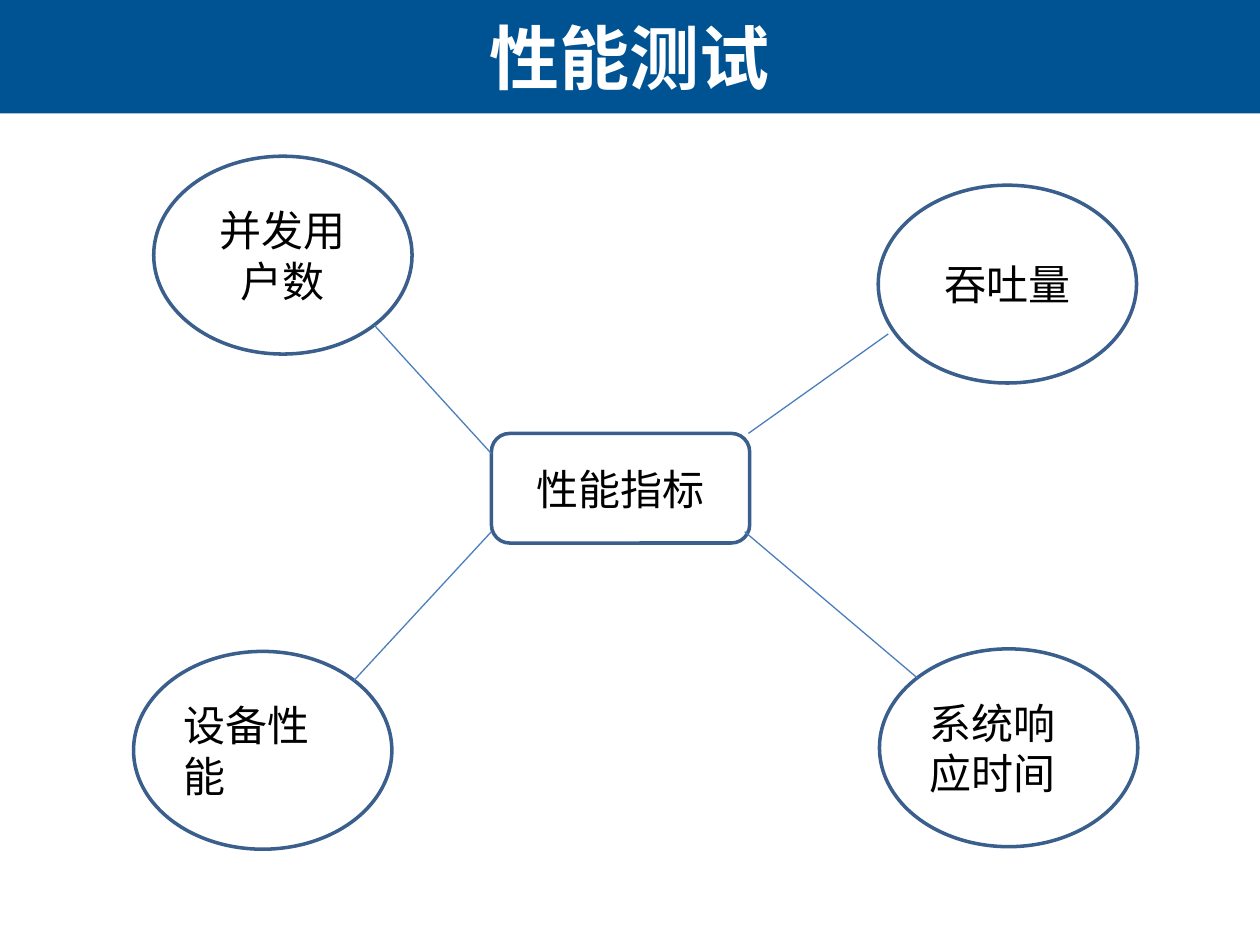
import lxml.etree
import pptx
import pptx.dml.color
import pptx.enum.shapes
import pptx.enum.text
import pptx.oxml.ns
import pptx.util

EMU_PER_PX = 9144
BAND_BLUE = pptx.dml.color.RGBColor(0x00, 0x53, 0x92)
OUTLINE_BLUE = pptx.dml.color.RGBColor(0x3A, 0x5F, 0x8C)
SPOKE_BLUE = pptx.dml.color.RGBColor(0x4B, 0x7E, 0xBC)
WHITE = pptx.dml.color.RGBColor(0xFF, 0xFF, 0xFF)
BLACK = pptx.dml.color.RGBColor(0x00, 0x00, 0x00)
SHAPES = pptx.enum.shapes.MSO_SHAPE
CENTER = pptx.enum.text.PP_ALIGN.CENTER
LEFT = pptx.enum.text.PP_ALIGN.LEFT
NODE_WIDTH, ELLIPSE_HEIGHT, HUB_HEIGHT = 205, 157, 87


def px(*lengths):
    """Turn lengths in px into EMU."""
    return [pptx.util.Emu(length * EMU_PER_PX) for length in lengths]


def write_text(shape, text, size, font_name, color, alignment=CENTER, bold=False):
    """Write one vertically centred paragraph into a shape."""
    frame = shape.text_frame
    frame.word_wrap = True
    frame.auto_size = pptx.enum.text.MSO_AUTO_SIZE.NONE
    frame.vertical_anchor = pptx.enum.text.MSO_ANCHOR.MIDDLE
    frame.text = text
    paragraph = frame.paragraphs[0]
    paragraph.alignment = alignment
    paragraph.font.size = pptx.util.Pt(size)
    paragraph.font.name = font_name
    paragraph.font.bold = bold
    paragraph.font.color.rgb = color


def add_title_band(slide, box, text):
    """Place the coloured band with the slide title on it."""
    left, top, width, height = box
    band = slide.shapes.add_shape(SHAPES.RECTANGLE, *px(*box))
    band.shadow.inherit = False
    band.fill.solid()
    band.fill.fore_color.rgb = BAND_BLUE
    band.line.fill.background()
    title = slide.shapes.title
    title.left, title.top, title.width, title.height = px(left - 1, top, width + 1, height)
    write_text(title, text, 40, "Arial", WHITE, bold=True)
    title.element.addprevious(band.element)


def add_node(slide, kind, box, text, alignment):
    """Add one outlined node of the diagram."""
    node = slide.shapes.add_shape(kind, *px(*box))
    node.shadow.inherit = False
    node.fill.background()
    node.line.color.rgb = OUTLINE_BLUE
    node.line.width = pptx.util.Pt(2)
    write_text(node, text, 24, "Calibri", BLACK, alignment)


def add_spoke(slide, start, end):
    """Add one thin line between a metric and the hub."""
    spoke = slide.shapes.add_connector(
        pptx.enum.shapes.MSO_CONNECTOR.STRAIGHT, *px(*start, *end))
    spoke.line.color.rgb = SPOKE_BLUE
    spoke.line.width = pptx.util.Pt(0.75)
    properties = spoke.element.find(pptx.oxml.ns.qn("p:spPr"))
    lxml.etree.SubElement(properties, pptx.oxml.ns.qn("a:effectLst"))


def add_metrics_diagram(slide, box, hub, metrics):
    """Place the hub, its surrounding metrics and the spokes in the box."""
    left, top = box[:2]
    hub_text, hub_x, hub_y = hub
    add_node(slide, SHAPES.ROUNDED_RECTANGLE,
             (left + hub_x, top + hub_y, NODE_WIDTH, HUB_HEIGHT), hub_text, CENTER)
    for text, x, y, alignment, start, end in metrics:
        add_node(slide, SHAPES.OVAL,
                 (left + x, top + y, NODE_WIDTH, ELLIPSE_HEIGHT), text, alignment)
    for text, x, y, alignment, start, end in metrics:
        add_spoke(slide, (left + start[0], top + start[1]), (left + end[0], top + end[1]))


def main():
    """Build the slide and save it."""
    presentation = pptx.Presentation()
    presentation.slide_width, presentation.slide_height = px(1000, 750)
    slide = presentation.slides.add_slide(presentation.slide_layouts[5])
    add_title_band(slide, (0, 0, 1000, 90), "性能测试")
    metrics = [
        ("并发用户数", 122, 34, CENTER, (297, 168), (390, 270)),
        ("吞吐量", 697, 57, CENTER, (705, 175), (594, 254)),
        ("系统响应时间", 698, 425, LEFT, (728, 448), (591, 332)),
        ("设备性能", 106, 427, LEFT, (281, 450), (390, 332)),
    ]
    add_metrics_diagram(slide, (0, 90, 1000, 660), ("性能指标", 390, 254), metrics)
    presentation.save("out.pptx")


if __name__ == "__main__":
    main()
